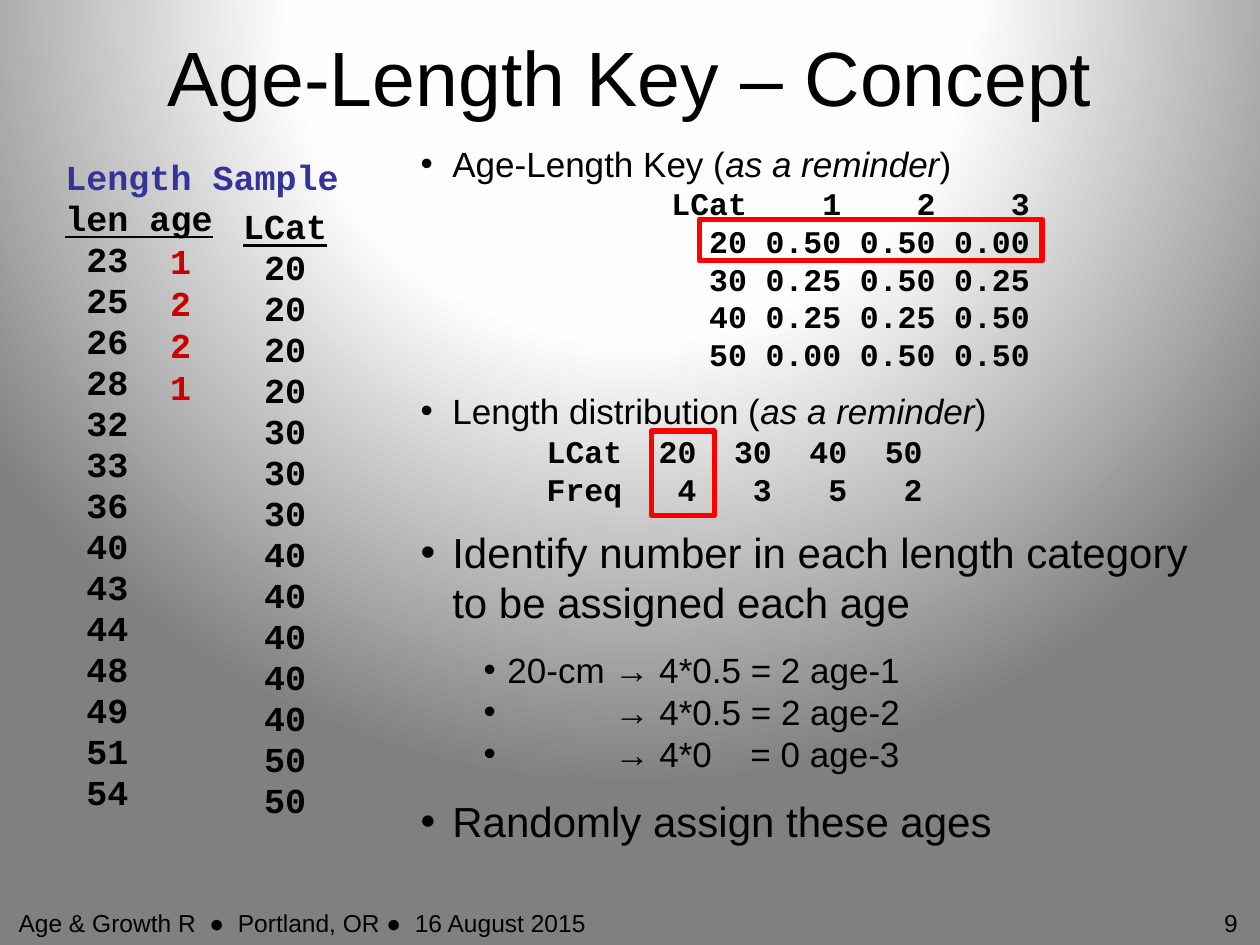
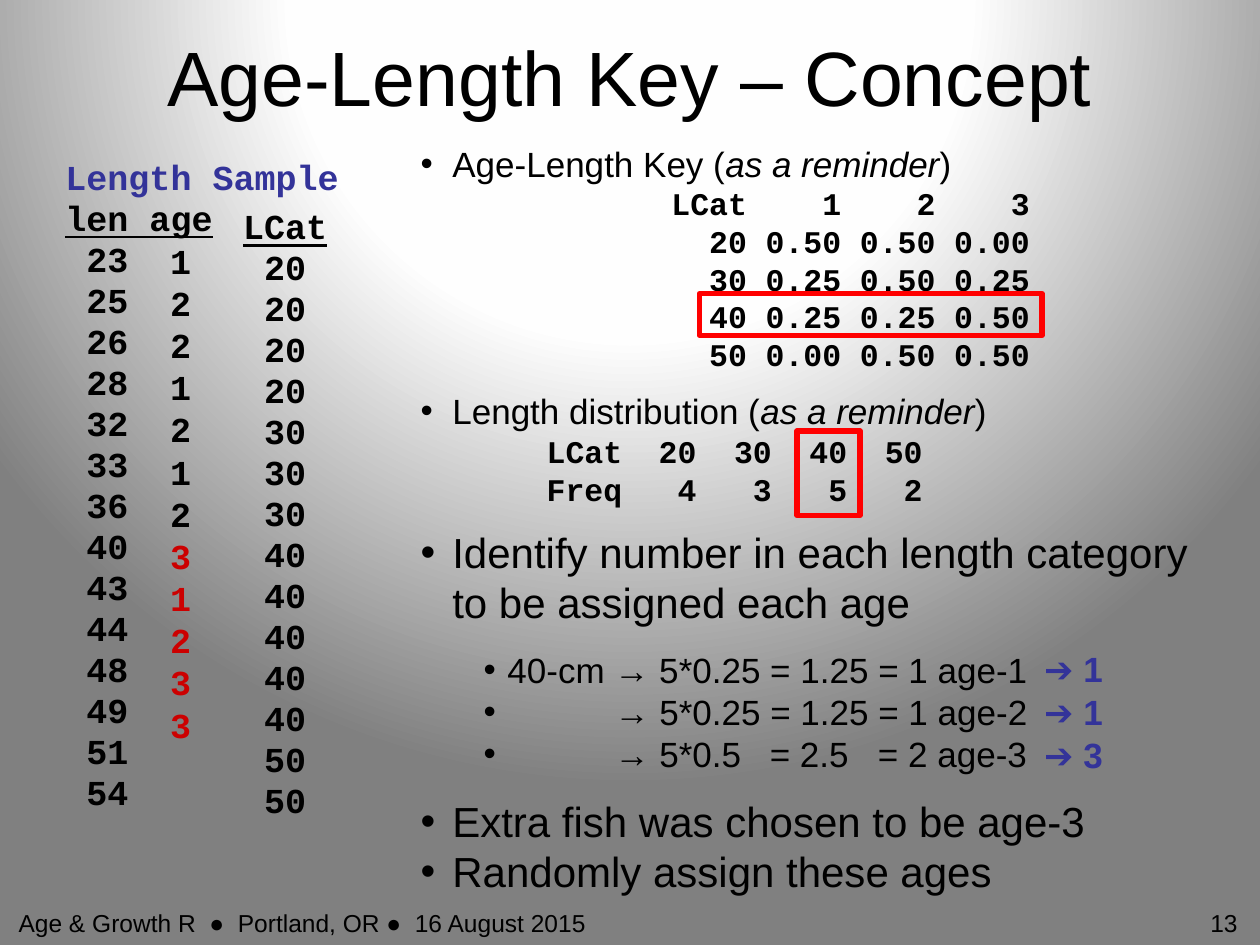
from pptx import Presentation
from pptx.dml.color import RGBColor
from pptx.enum.shapes import MSO_SHAPE as SHAPE
from pptx.enum.text import MSO_ANCHOR as ANCHOR, PP_ALIGN as ALIGN
from pptx.oxml import parse_xml
from pptx.oxml.ns import qn
from pptx.util import Cm, Pt
from lxml.etree import SubElement

BLACK, BLUE, CRIMSON, RED = "000000", "333399", "CC0000", "FF0000"
SANS, MONO = "Arial", "Courier New"
BACKGROUND = [(40, "FFFFFF"), (43, "FEFEFE"), (100, "808080")]
TITLE = "Age-Length Key – Concept"
FOOTER = "Age & Growth R  ●  Portland, OR ●  16 August 2015"

FISH = [(23, 20), (25, 20), (26, 20), (28, 20), (32, 30), (33, 30), (36, 30),
        (40, 40), (43, 40), (44, 40), (48, 40), (49, 40), (51, 50), (54, 50)]
AGE_KEY = [("LCat", "1", "2", "3"),
           ("20", "0.50", "0.50", "0.00"),
           ("30", "0.25", "0.50", "0.25"),
           ("40", "0.25", "0.25", "0.50"),
           ("50", "0.00", "0.50", "0.50")]
LENGTH_COUNTS = [("LCat", "20", "30", "40", "50"), ("Freq", "4", "3", "5", "2")]

SLIDES = [
    dict(number=9, category=0, old_ages=[], new_ages=[1, 2, 2, 1], rounded=[],
         steps=["20-cm → 4*0.5 = 2 age-1", "→ 4*0.5 = 2 age-2", "→ 4*0\t= 0 age-3"],
         step_tabs=[6.65],
         closing=["Randomly assign these ages"]),
    dict(number=13, category=2, old_ages=[1, 2, 2, 1, 2, 1, 2], new_ages=[3, 1, 2, 3, 3],
         rounded=[1, 1, 3],
         steps=["40-cm → 5*0.25 = 1.25 = 1 age-1", "→ 5*0.25 = 1.25 = 1 age-2",
                "→ 5*0.5\t= 2.5\t= 2 age-3"],
         step_tabs=[7.04, 9.22],
         closing=["Extra fish was chosen to be age-3", "Randomly assign these ages"]),
]

KEY_TABS = [(6.58 + 1.9 * i, "r") for i in range(4)]
COUNT_TABS = [(2.54, "l")] + [(5.56 + 1.52 * i, "r") for i in range(4)]


def rgb(color):
    """Turn a hex string into a colour."""
    return RGBColor.from_string(color)


def style(p, size, font=SANS, color=BLACK, bold=False, underline=False):
    """Format every run of a paragraph."""
    for r in p.runs:
        r.font.size, r.font.name, r.font.bold = Pt(size), font, bold
        r.font.underline = underline
        r.font.color.rgb = rgb(color)


def add_box(s, left, top, width, height, wrap=True):
    """Add an empty text box and return its text frame."""
    tf = s.shapes.add_textbox(Cm(left), Cm(top), Cm(width), Cm(height)).text_frame
    tf.word_wrap = wrap
    return tf


def add_label(s, text, left, top, width, height, size, align=ALIGN.LEFT, wrap=True, **look):
    """Add a one-line text box."""
    p = add_box(s, left, top, width, height, wrap).paragraphs[0]
    p.text, p.alignment = text, align
    style(p, size, **look)


def next_paragraph(tf):
    """Return the unused first paragraph, or a new one."""
    p = tf.paragraphs[0]
    return tf.add_paragraph() if p.runs else p


def add_bullet(tf, text, size, before=0, margin=0.64, hang=0.64, tabs=()):
    """Add a bulleted paragraph; text between underscores is italic."""
    p = next_paragraph(tf)
    for i, part in enumerate(text.split("_")):
        r = p.add_run()
        r.text, r.font.italic = part, i % 2 == 1
    style(p, size)
    p.space_before = Pt(before)
    pPr = p._p.get_or_add_pPr()
    pPr.set("marL", str(Cm(margin)))
    pPr.set("indent", str(-Cm(hang)))
    SubElement(pPr, qn("a:buFont"), typeface=SANS)
    SubElement(pPr, qn("a:buChar"), char="•")
    add_tabs(p, [(tab, "l") for tab in tabs])


def add_tabs(p, tabs):
    """Set the tab stops of a paragraph."""
    if tabs:
        tab_list = SubElement(p._p.get_or_add_pPr(), qn("a:tabLst"))
        for position, align in tabs:
            SubElement(tab_list, qn("a:tab"), pos=str(Cm(position)), algn=align)


def add_columns(tf, rows, tabs):
    """Add one tabbed monospaced paragraph per row."""
    for row in rows:
        p = next_paragraph(tf)
        p.text = "\t" + "\t".join(row)
        style(p, 18, MONO, bold=True)
        add_tabs(p, tabs)


def add_sample(s, lines, header, left, top, width, height):
    """Add a monospaced list whose header line is underlined."""
    tf = add_box(s, left, top, width, height)
    for line in lines:
        p = next_paragraph(tf)
        p.text = line
        p.line_spacing, p.space_before = 0.8, Pt(4.2)
        style(p, 20, MONO, BLUE if line == "Length Sample" else BLACK, True, line == header)


def add_frame(s, left, top, width, height):
    """Add a red outline that marks the current category."""
    sp = s.shapes.add_shape(SHAPE.RECTANGLE, Cm(left), Cm(top), Cm(width), Cm(height))
    sp.shadow.inherit = False
    sp.fill.background()
    sp.line.color.rgb, sp.line.width = rgb(RED), Pt(3)


def set_background(master):
    """Give the master a round gradient."""
    fill = master.background.fill
    fill.solid()
    stops = "".join(f'<a:gs pos="{pos * 1000}"><a:srgbClr val="{color}"/></a:gs>'
                    for pos, color in BACKGROUND)
    gradient = parse_xml(
        '<a:gradFill xmlns:a="http://schemas.openxmlformats.org/drawingml/2006/main" '
        f'rotWithShape="1"><a:gsLst>{stops}</a:gsLst><a:path path="circle">'
        '<a:fillToRect l="50000" t="-80000" r="50000" b="180000"/></a:path></a:gradFill>')
    bgPr = master._element.cSld.find(qn("p:bg")).find(qn("p:bgPr"))
    bgPr.replace(bgPr.find(qn("a:solidFill")), gradient)


def add_title(s):
    """Place and format the title."""
    sp = s.shapes.title
    sp.left, sp.top, sp.width, sp.height = Cm(0.18), Cm(0.33), Cm(25.04), Cm(2.41)
    tf = sp.text_frame
    tf.text, tf.vertical_anchor = TITLE, ANCHOR.MIDDLE
    tf.paragraphs[0].alignment = ALIGN.CENTER
    style(tf.paragraphs[0], 44)


def add_explanation(s, steps, step_tabs, closing):
    """Add the tables and the steps on the right."""
    tf = add_box(s, 8.23, 2.74, 16.54, 14.58)
    add_bullet(tf, "Age-Length Key (_as a reminder_)", 20)
    add_columns(tf, AGE_KEY, KEY_TABS)
    add_bullet(tf, "Length distribution (_as a reminder_)", 20, before=9.5)
    add_columns(tf, LENGTH_COUNTS, COUNT_TABS)
    add_bullet(tf, "Identify number in each length category to be assigned each age", 24, before=11)
    for i, step in enumerate(steps):
        margin = 3.91 if i else 1.75
        add_bullet(tf, step, 20, 0 if i else 12, margin, margin - 1.27,
                   step_tabs if "\t" in step else ())
    for i, text in enumerate(closing):
        add_bullet(tf, text, 24, before=0 if i else 12)


def build_slide(prs, number, category, old_ages, new_ages, rounded, steps, step_tabs, closing):
    """Build one step of the age assignment."""
    s = prs.slides.add_slide(prs.slide_layouts[5])
    add_title(s)
    add_label(s, FOOTER, 0, 18.19, 12.07, 0.86, 14, ALIGN.RIGHT)
    add_label(s, str(number), 23.5, 18.19, 1.7, 0.86, 14, ALIGN.RIGHT)
    lengths = [f" {length}" for length, _ in FISH]
    add_sample(s, ["Length Sample", "len age"] + lengths, "len age", 1.07, 3.18, 6.78, 13.97)
    add_explanation(s, steps, step_tabs, closing)
    categories = [f" {lcat}" for _, lcat in FISH]
    add_sample(s, ["LCat"] + categories, "LCat", 4.65, 4.17, 2.34, 12.98)
    for i, age in enumerate(old_ages + new_ages):
        color = BLACK if i < len(old_ages) else CRIMSON
        add_label(s, str(age), 3.18, 4.7 + 0.85 * i, 0.94, 1.09, 20,
                  wrap=False, font=MONO, color=color, bold=True)
    for i, count in enumerate(rounded):
        add_label(s, f"➔ {count}", 20.8, 12.92 + 0.87 * i, 1.85, 1.09, 20,
                  wrap=False, color=BLUE, bold=True)
    add_frame(s, 14.1, 4.42 + 0.75 * category, 6.91, 0.84)
    add_frame(s, 13.13 + 1.47 * category, 8.69, 1.27, 1.7)


def main():
    """Build and save the deck."""
    prs = Presentation()
    prs.slide_width, prs.slide_height = Cm(25.4), Cm(19.05)
    set_background(prs.slide_master)
    for content in SLIDES:
        build_slide(prs, **content)
    prs.save("out.pptx")


if __name__ == "__main__":
    main()
